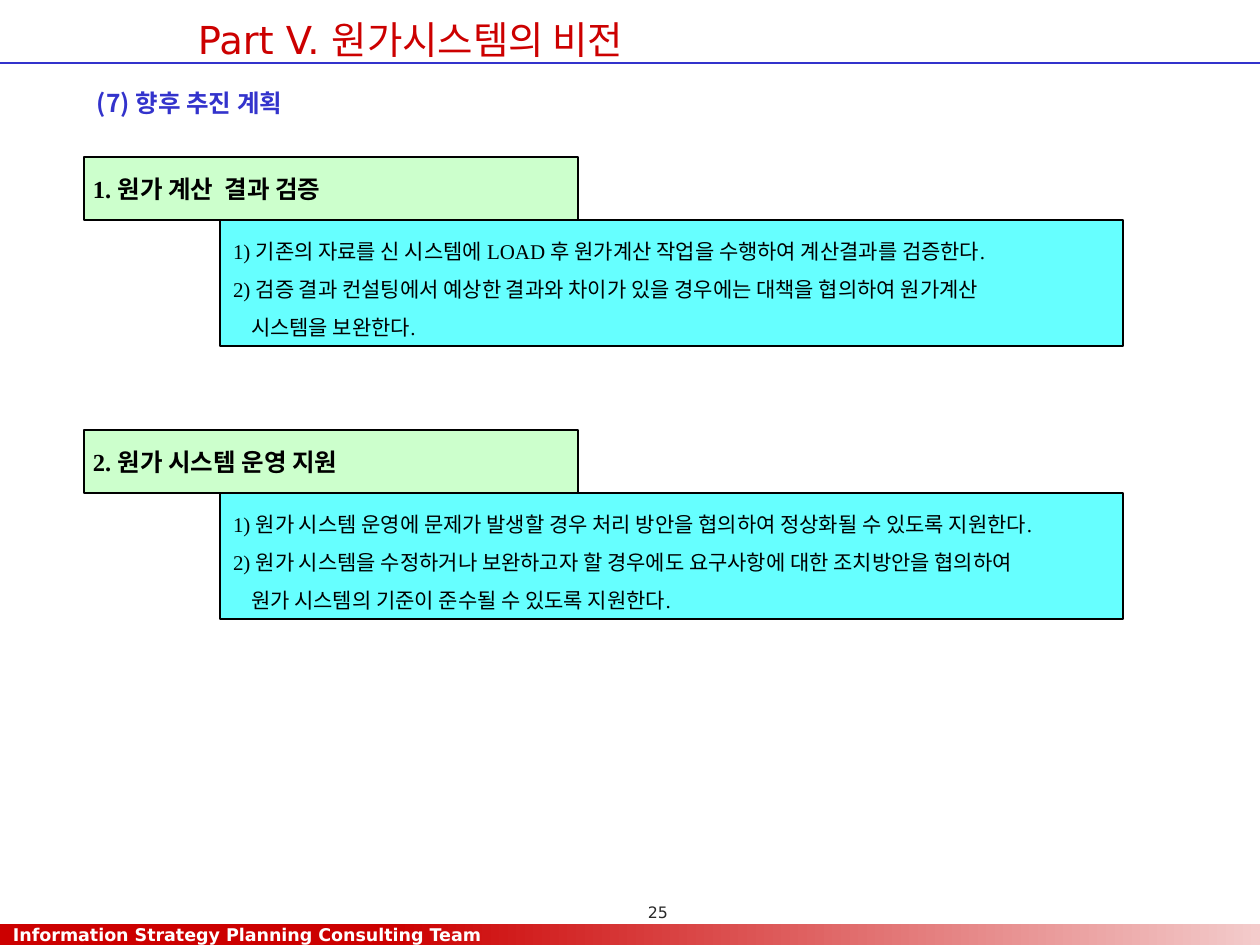
import pptx
import pptx.dml.color
import pptx.enum.shapes
import pptx.enum.text
import pptx.oxml.ns
import pptx.util
from lxml import etree

PX = 914400 / 126
SLIDE_W, SLIDE_H = 1260, 945
COLORS = {
    "red": "CC0000", "pale_red": "F3CBCB", "blue": "3333CC",
    "green": "CCFFCC", "cyan": "66FFFF", "black": "000000",
    "white": "FFFFFF", "gray": "292929",
}
ALIGN = pptx.enum.text.PP_ALIGN
ANCHOR = pptx.enum.text.MSO_ANCHOR
RECTANGLE = pptx.enum.shapes.MSO_SHAPE.RECTANGLE

SECTIONS = [
    ("1. 원가 계산  결과 검증", [
        ("1) 기존의 자료를 신 시스템에 LOAD 후 원가계산 작업을 수행하여 계산결과를 검증한다.", 0),
        ("2) 검증 결과 컨설팅에서 예상한 결과와 차이가 있을 경우에는 대책을 협의하여 원가계산", 0),
        ("시스템을 보완한다.", 18),
    ]),
    ("2. 원가 시스템 운영 지원", [
        ("1) 원가 시스템 운영에 문제가 발생할 경우 처리 방안을 협의하여 정상화될 수 있도록 지원한다.", 0),
        ("2) 원가 시스템을 수정하거나 보완하고자 할 경우에도 요구사항에 대한 조치방안을 협의하여", 0),
        ("원가 시스템의 기준이 준수될 수 있도록 지원한다.", 18),
    ]),
]


def px(length):
    return pptx.util.Emu(round(length * PX))


def rgb(name):
    return pptx.dml.color.RGBColor.from_string(COLORS[name])


def write(shape, lines, font, size, color, bold=False, align=ALIGN.LEFT,
          anchor=ANCHOR.TOP, left=13, right=13, wrap=True, spacing=None):
    """Fill a shape with (text, indent) lines in one style."""
    frame = shape.text_frame
    frame.auto_size = pptx.enum.text.MSO_AUTO_SIZE.NONE
    frame.word_wrap = wrap
    frame.vertical_anchor = anchor
    frame.margin_left, frame.margin_right = px(left), px(right)
    frame.margin_top = frame.margin_bottom = px(6)
    for index, (text, indent) in enumerate(lines):
        paragraph = frame.paragraphs[0] if index == 0 else frame.add_paragraph()
        paragraph.text = text
        paragraph.alignment = align
        if spacing:
            paragraph.line_spacing = spacing
        if indent:
            properties = paragraph._p.get_or_add_pPr()
            properties.set("marL", str(px(indent)))
            properties.set("indent", "0")
        paragraph.font.name = font
        paragraph.font.size = pptx.util.Pt(size)
        paragraph.font.bold = bold
        paragraph.font.color.rgb = rgb(color)


def add_box(slide, x, y, w, h, fill=None, outline=None):
    box = slide.shapes.add_shape(RECTANGLE, px(x), px(y), px(w), px(h))
    box.shadow.inherit = False
    if fill:
        box.fill.solid()
        box.fill.fore_color.rgb = rgb(fill)
    if outline:
        box.line.color.rgb = rgb(outline)
        box.line.width = pptx.util.Pt(1)
    else:
        box.line.fill.background()
    return box


def add_text(slide, x, y, w, h, text, *style, **options):
    box = slide.shapes.add_textbox(px(x), px(y), px(w), px(h))
    write(box, [(text, 0)], *style, **options)


def add_header(slide, x, y, w):
    # Title
    title = slide.shapes.title
    title.left, title.top = px(x + 175), px(y + 10)
    title.width, title.height = px(479), px(59)
    write(title, [("Part V. 원가시스템의 비전", 0)], "DejaVu Sans", 22, "red",
          align=ALIGN.CENTER, right=21, wrap=False)
    # Rule below the title
    rule = slide.shapes.add_connector(
        pptx.enum.shapes.MSO_CONNECTOR.STRAIGHT,
        px(x), px(y + 63), px(x + w), px(y + 63))
    rule.line.color.rgb = rgb("blue")
    rule.line.width = pptx.util.Pt(0.75)
    etree.SubElement(rule._element.spPr, pptx.oxml.ns.qn("a:effectLst"))
    # Subtitle
    add_text(slide, x + 84, y + 73, 577, 42, "(7) 향후 추진 계획",
             "Noto Sans CJK KR", 14, "blue", bold=True, spacing=1.3)


def add_section(slide, x, y, heading, steps):
    heading_box = add_box(slide, x, y, 494, 63, "green", "black")
    write(heading_box, [(heading, 0)], "Times New Roman", 14, "black",
          bold=True, anchor=ANCHOR.MIDDLE, left=9, right=3)
    steps_box = add_box(slide, x + 136, y + 63, 903, 126, "cyan", "black")
    write(steps_box, steps, "Times New Roman", 12, "black",
          anchor=ANCHOR.MIDDLE, wrap=False, spacing=1.5)


def add_footer(slide, x, y, w, h):
    # Band: solid at the team name, fading to the right
    solid_w = 388
    fade = add_box(slide, x + solid_w, y, w - solid_w, h)
    fade.fill.gradient()
    fade.fill.gradient_angle = 0
    for stop, color in zip(fade.fill.gradient_stops, ("red", "pale_red")):
        stop.color.rgb = rgb(color)
    team = add_box(slide, x, y, solid_w, h, "red")
    write(team, [("Information Strategy Planning Consulting Team", 0)],
          "DejaVu Sans", 10, "white", bold=True, anchor=ANCHOR.MIDDLE, wrap=False)
    # Page number
    add_text(slide, x + 557, y - 27, 189, 32, "25", "DejaVu Sans", 9, "gray",
             align=ALIGN.CENTER, right=0)


def main():
    deck = pptx.Presentation()
    deck.slide_width, deck.slide_height = px(SLIDE_W), px(SLIDE_H)
    slide = deck.slides.add_slide(deck.slide_layouts[5])
    add_header(slide, 0, 0, SLIDE_W)
    for index, (heading, steps) in enumerate(SECTIONS):
        add_section(slide, 84, 157 + 273 * index, heading, steps)
    add_footer(slide, 0, 924, SLIDE_W, 21)
    deck.save("out.pptx")


if __name__ == "__main__":
    main()
